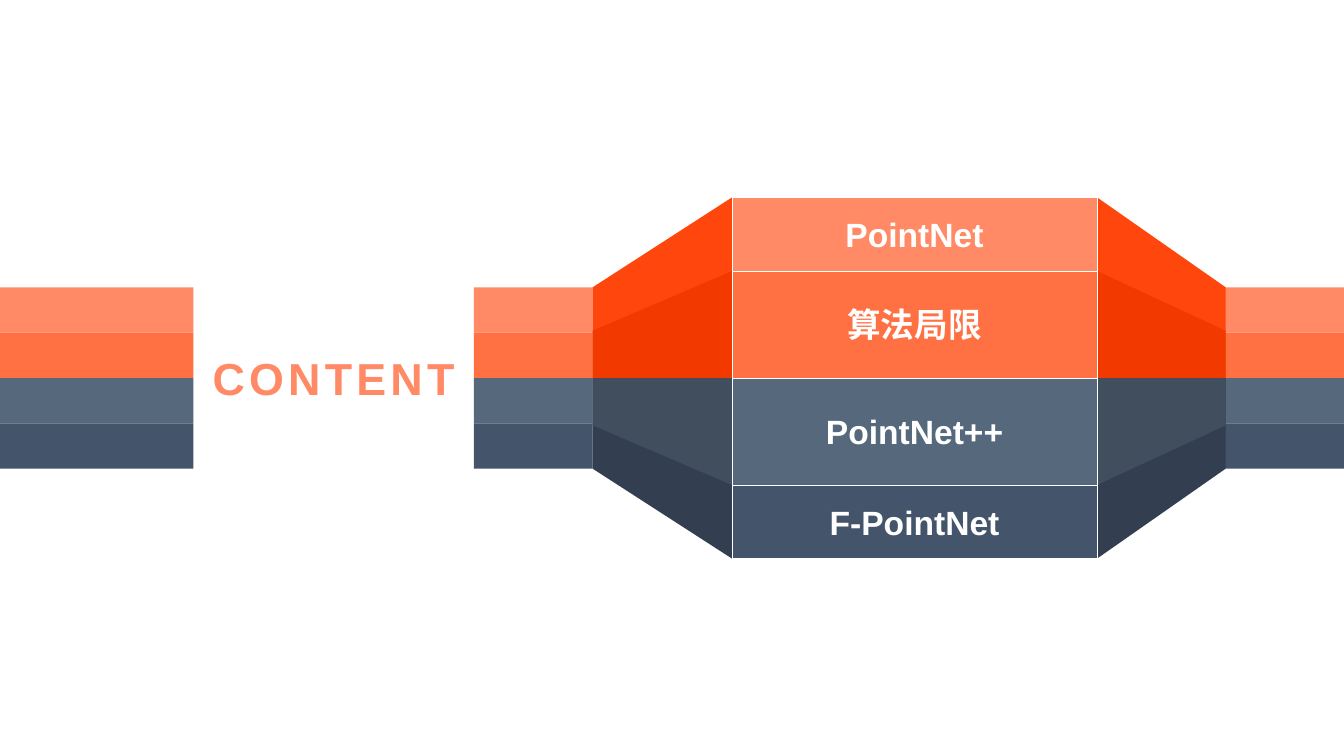
from dataclasses import dataclass

from pptx import Presentation
from pptx.dml.color import RGBColor
from pptx.enum.shapes import MSO_SHAPE
from pptx.enum.text import MSO_ANCHOR, PP_ALIGN
from pptx.shapes.autoshape import Shape
from pptx.slide import Slide
from pptx.util import Pt

RECTANGLE = MSO_SHAPE.RECTANGLE
MIDDLE = MSO_ANCHOR.MIDDLE
CENTER = PP_ALIGN.CENTER


@dataclass(frozen=True)
class Theme:
    font: str = "Arial"
    title_size: float = 32
    title_spacing: float = 3
    label_size: float = 24
    outline_width: float = 0.25
    white: str = "FFFFFF"
    coral: str = "FF8A65"
    orange: str = "FF7043"
    steel: str = "56687C"
    navy: str = "44546A"
    coral_fold: str = "FF460C"
    orange_fold: str = "F23A00"
    steel_fold: str = "404E5D"
    navy_fold: str = "333F50"


@dataclass(frozen=True)
class Panel:
    label: str
    color: str
    top: float
    bottom: float


@dataclass(frozen=True)
class Strip:
    left: float
    right: float


@dataclass(frozen=True)
class Fold:
    """A wedge from the middle line, with signed heights at its narrow and wide ends."""
    color: str
    narrow: float
    wide: float


THEME = Theme()
PAGE_WIDTH, PAGE_HEIGHT = 960, 540
MIDDLE_Y = PAGE_HEIGHT / 2
BAND_HEIGHT = 32.4
STRIP_HALF = 2 * BAND_HEIGHT
STRIP_FOLD = 33.8
PANEL_HALF, PANEL_FOLD = 129, 76.4
PANEL_LEFT, PANEL_RIGHT = 522.9, 783.6

STRIPS = [Strip(0, 138.2), Strip(338.4, 423.4), Strip(874.4, PAGE_WIDTH)]
FOLD_SPANS = [(423.4, PANEL_LEFT), (875.4, PANEL_RIGHT)]
FOLDS = [
    Fold(THEME.coral_fold, -STRIP_HALF, -PANEL_HALF),
    Fold(THEME.navy_fold, STRIP_HALF, PANEL_HALF),
    Fold(THEME.orange_fold, -STRIP_FOLD, -PANEL_FOLD),
    Fold(THEME.steel_fold, STRIP_FOLD, PANEL_FOLD),
]
PANELS = [
    Panel("PointNet", THEME.coral, -PANEL_HALF, -PANEL_FOLD),
    Panel("算法局限", THEME.orange, -PANEL_FOLD, 0),
    Panel("PointNet++", THEME.steel, 0, PANEL_FOLD),
    Panel("F-PointNet", THEME.navy, PANEL_FOLD, PANEL_HALF),
]


def paint(shape: Shape, color: str) -> None:
    shape.shadow.inherit = False
    shape.fill.solid()
    shape.fill.fore_color.rgb = RGBColor.from_string(color)
    shape.line.fill.background()


def add_band(page: Slide, left: float, top: float, right: float, bottom: float,
             color: str) -> Shape:
    band = page.shapes.add_shape(
        RECTANGLE, Pt(left), Pt(top), Pt(right - left), Pt(bottom - top))
    paint(band, color)
    return band


def write(box: Shape, text: str, size: float, color: str, spacing: float = 0) -> None:
    frame = box.text_frame
    frame.text = text
    frame.word_wrap = False
    frame.vertical_anchor = MIDDLE
    para = frame.paragraphs[0]
    para.alignment = CENTER
    span = para.runs[0]
    span.font.name = THEME.font
    span.font.size = Pt(size)
    span.font.bold = True
    span.font.color.rgb = RGBColor.from_string(color)
    if spacing:
        span.font._element.set("spc", str(round(spacing * 100)))


def add_strip(page: Slide, strip: Strip) -> None:
    for row, panel in enumerate(PANELS):
        top = MIDDLE_Y - STRIP_HALF + row * BAND_HEIGHT
        add_band(page, strip.left, top, strip.right, top + BAND_HEIGHT, panel.color)


def add_fold(page: Slide, narrow_x: float, wide_x: float, fold: Fold) -> None:
    outline = page.shapes.build_freeform(Pt(narrow_x), Pt(MIDDLE_Y))
    outline.add_line_segments([
        (Pt(narrow_x), Pt(MIDDLE_Y + fold.narrow)),
        (Pt(wide_x), Pt(MIDDLE_Y + fold.wide)),
        (Pt(wide_x), Pt(MIDDLE_Y)),
    ], close=True)
    paint(outline.convert_to_shape(), fold.color)


def add_panel(page: Slide, panel: Panel) -> None:
    box = add_band(page, PANEL_LEFT, MIDDLE_Y + panel.top,
                   PANEL_RIGHT, MIDDLE_Y + panel.bottom, panel.color)
    box.line.color.rgb = RGBColor.from_string(THEME.white)
    box.line.width = Pt(THEME.outline_width)
    write(box, panel.label, THEME.label_size, THEME.white)


def add_title(page: Slide) -> None:
    left, right = STRIPS[0].right, STRIPS[1].left
    box = page.shapes.add_textbox(
        Pt(left), Pt(MIDDLE_Y - STRIP_HALF), Pt(right - left), Pt(2 * STRIP_HALF))
    write(box, "CONTENT", THEME.title_size, THEME.coral, THEME.title_spacing)


def main() -> None:
    deck = Presentation()
    deck.slide_width, deck.slide_height = Pt(PAGE_WIDTH), Pt(PAGE_HEIGHT)
    page = deck.slides.add_slide(deck.slide_layouts[6])
    for strip in STRIPS:
        add_strip(page, strip)
    for narrow_x, wide_x in FOLD_SPANS:
        for fold in FOLDS:
            add_fold(page, narrow_x, wide_x, fold)
    for panel in PANELS:
        add_panel(page, panel)
    add_title(page)
    deck.save("out.pptx")


if __name__ == "__main__":
    main()
